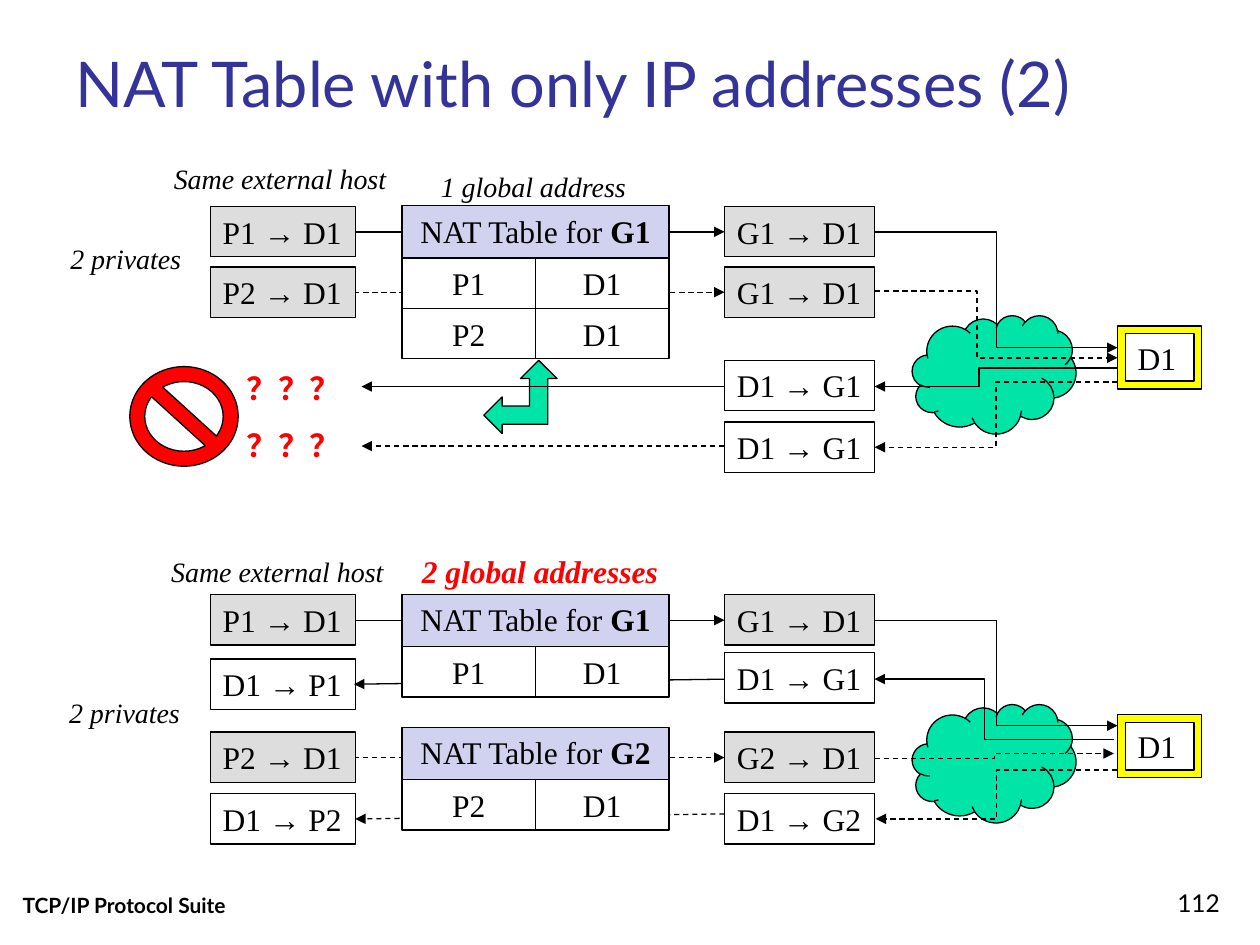
import dataclasses
import typing

import lxml.etree
import pptx
import pptx.dml.color
import pptx.enum.dml
import pptx.enum.shapes
import pptx.enum.text
import pptx.oxml.ns
import pptx.util

Pt = pptx.util.Pt
Shape = pptx.enum.shapes.MSO_SHAPE
Link = pptx.enum.shapes.MSO_CONNECTOR
Align = pptx.enum.text.PP_ALIGN
Anchor = pptx.enum.text.MSO_ANCHOR
Fit = pptx.enum.text.MSO_AUTO_SIZE
qn = pptx.oxml.ns.qn


@dataclasses.dataclass(frozen=True)
class Theme:
    sans: str = "Lato"
    serif: str = "Times New Roman"
    black: str = "000000"
    white: str = "FFFFFF"
    blue: str = "333399"
    gray: str = "DDDDDD"
    lilac: str = "D1D1F0"
    green: str = "00E4A8"
    yellow: str = "FFFF00"
    red: str = "FF0000"
    title: float = 36
    body: float = 18
    note: float = 16
    page: float = 14
    foot: float = 12
    line: float = 0.75


THEME = Theme()


class Area(typing.NamedTuple):
    left: float
    top: float
    width: float
    height: float


class Style(typing.NamedTuple):
    size: float = THEME.body
    color: str = THEME.black
    bold: bool = False
    slant: bool = False
    face: str = THEME.serif


class Note(typing.NamedTuple):
    text: str
    area: Area
    style: Style
    align: Align = Align.LEFT
    anchor: Anchor = Anchor.TOP
    wrap: bool = False


class Wire(typing.NamedTuple):
    start: tuple[float, float]
    end: tuple[float, float]
    dash: bool = False
    bend: float | None = None  # share of the width where an elbow turns


class Packet(typing.NamedTuple):
    text: str
    left: float
    top: float
    sent: bool = True


class Table(typing.NamedTuple):
    host: str
    top: float
    rows: tuple[str, ...]


NEAR, FAR = 120.2, 414  # left edges of the two packet columns
WIDTH = {NEAR: 82.8, FAR: 85.8}
ROW, HEAD = 28.8, 30
TABLE_LEFT, CELL = 229.7, 76.3
SCENES = (0, 222.2)  # top offsets of the two cases

SLANT = Style(THEME.note, slant=True)
ALERT = Style(color=THEME.red, bold=True)

NOTES = (
    Note("TCP/IP Protocol Suite", Area(5.8, 492, 228, 36),
         Style(THEME.foot, bold=True, face=THEME.sans), anchor=Anchor.BOTTOM, wrap=True),
    Note("112", Area(554.4, 492, 149.8, 36), Style(THEME.page, face=THEME.sans),
         Align.RIGHT, Anchor.BOTTOM, True),
    Note("Same external host", Area(92.2, 88.6, 137.5, 26.6), SLANT),
    Note("1 global address", Area(244.8, 93.6, 121.7, 26.6), SLANT),
    Note("2 privates", Area(33.1, 134.6, 79.2, 26.6), SLANT),
    Note("？？？", Area(133.9, 207.4, 69.1, ROW), ALERT),
    Note("？？？", Area(133.9, 239.8, 69.1, ROW), ALERT),
    Note("Same external host", Area(90.7, 313.2, 137.5, 26.6), SLANT),
    Note("2 global addresses", Area(234, 311.8, 150.5, ROW), ALERT._replace(slant=True)),
    Note("2 privates", Area(32.4, 393.8, 79.2, 26.6), SLANT),
)

WIRES = (
    Wire((203, 132.5), (FAR, 132.5)),
    Wire((500.2, 132.5), (638.6, 198.7), bend=0.5),
    Wire((202.5, 167), (FAR, 167), True),
    Wire((500.2, 166.3), (638.6, 204.5), True, 0.42),
    Wire((638.6, 210.4), (499.8, 220.9), bend=0.57),
    Wire((638.6, 218.2), (499.8, 255.6), True, 0.5),
    Wire((FAR, 220.9), (206.6, 220.9)),
    Wire((FAR, 254.9), (206.6, 254.9), True),
    Wire((203, 354.4), (FAR, 354.4)),
    Wire((500.2, 354.4), (638.6, 414.7), bend=0.5),
    Wire((FAR, 388.1), (202.3, 391)),
    Wire((636.5, 422.8), (499.8, 388.1), bend=0.54),
    Wire((202.3, 432.9), (FAR, 432.9), True),
    Wire((499.8, 433.4), (636.5, 430.6), True, 0.5),
    Wire((FAR, 465.1), (203, 468), True),
    Wire((638.6, 440), (500.4, 468), True, 0.5),
)

PACKETS = (
    Packet("P1 → D1", NEAR, 118), Packet("G1 → D1", FAR, 118),
    Packet("P2 → D1", NEAR, 152.6), Packet("G1 → D1", FAR, 152.6),
    Packet("D1 → G1", FAR, 205.9, False), Packet("D1 → G1", FAR, 241.2, False),
    Packet("P1 → D1", NEAR, 339.8), Packet("G1 → D1", FAR, 339.8),
    Packet("D1 → P1", NEAR, 376.6, False), Packet("D1 → G1", FAR, 373, False),
    Packet("P2 → D1", NEAR, 418.3), Packet("G2 → D1", FAR, 418.3),
    Packet("D1 → P2", NEAR, 453.6, False), Packet("D1 → G2", FAR, 453.6, False),
)

TABLES = (
    Table("G1", 117.4, ("P1", "P2")),
    Table("G1", 339.6, ("P1",)),
    Table("G2", 415.6, ("P2",)),
)


def rgb(color: str) -> pptx.dml.color.RGBColor:
    return pptx.dml.color.RGBColor.from_string(color)


def write(shape, text: str, style: Style = Style(), align: Align = Align.LEFT,
          anchor: Anchor = Anchor.TOP, wrap: bool = True, strong: str = "") -> None:
    """Fill a shape with one line of text, ending in an optional bold part."""
    frame = shape.text_frame
    frame.text = text
    frame.word_wrap = wrap
    frame.vertical_anchor = anchor
    line = frame.paragraphs[0]
    line.alignment = align
    if strong:
        line.add_run().text = strong
    for index, run in enumerate(line.runs):
        font = run.font
        font.name, font.size = style.face, Pt(style.size)
        font.bold, font.italic = style.bold or index > 0, style.slant
        font.color.rgb = rgb(style.color)


def draw_shape(slide, kind: Shape, area: Area, fill: str | None):
    shape = slide.shapes.add_shape(kind, *map(Pt, area))
    shape.shadow.inherit = False
    if fill:
        shape.fill.solid()
        shape.fill.fore_color.rgb = rgb(fill)
    else:
        shape.fill.background()
    shape.line.color.rgb = rgb(THEME.black)
    shape.line.width = Pt(THEME.line)
    return shape


def draw_note(slide, note: Note) -> None:
    box = slide.shapes.add_textbox(*map(Pt, note.area))
    write(box, note.text, note.style, note.align, note.anchor, note.wrap)
    if not note.wrap:
        box.text_frame.auto_size = Fit.SHAPE_TO_FIT_TEXT


def draw_wire(slide, wire: Wire) -> None:
    kind = Link.STRAIGHT if wire.bend is None else Link.ELBOW
    link = slide.shapes.add_connector(kind, *map(Pt, wire.start + wire.end))
    link.line.color.rgb = rgb(THEME.black)
    link.line.width = Pt(THEME.line)
    if wire.dash:
        link.line.dash_style = pptx.enum.dml.MSO_LINE.DASH
    props = link._element.spPr
    lxml.etree.SubElement(props.find(qn("a:ln")), qn("a:tailEnd"), type="triangle")
    lxml.etree.SubElement(props, qn("a:effectLst"))
    if wire.bend is not None:
        guides = props.find(qn("a:prstGeom")).get_or_add_avLst()
        lxml.etree.SubElement(guides, qn("a:gd"), name="adj1",
                              fmla=f"val {round(wire.bend * 100000)}")


def draw_packet(slide, packet: Packet) -> None:
    area = Area(packet.left, packet.top, WIDTH[packet.left], ROW)
    box = draw_shape(slide, Shape.RECTANGLE, area, THEME.gray if packet.sent else None)
    write(box, packet.text, wrap=False)


def draw_table(slide, table: Table) -> None:
    """Stack a wide heading box over rows of private and external host."""
    for row, host in enumerate(table.rows):
        for col, text in enumerate((host, "D1")):
            area = Area(TABLE_LEFT + col * CELL, table.top + HEAD + row * ROW, CELL, ROW)
            write(draw_shape(slide, Shape.RECTANGLE, area, THEME.white), text,
                  align=Align.CENTER)
    head = draw_shape(slide, Shape.RECTANGLE,
                      Area(TABLE_LEFT, table.top, 2 * CELL, HEAD), THEME.lilac)
    write(head, "NAT Table for ", align=Align.CENTER, strong=table.host)


def main() -> None:
    deck = pptx.Presentation()
    deck.slide_width, deck.slide_height = Pt(720), Pt(540)
    slide = deck.slides.add_slide(deck.slide_layouts[5])
    title = slide.shapes.title
    title.left, title.top, title.width, title.height = map(Pt, (36, 21.6, 648, 50.4))
    write(title, "NAT Table with only IP addresses (2)",
          Style(THEME.title, THEME.blue, face=THEME.sans), anchor=Anchor.MIDDLE)

    for top in SCENES:
        draw_shape(slide, Shape.CLOUD, Area(521.3, 180.2 + top, 93.6, 67.7), THEME.green)
        host = draw_shape(slide, Shape.FRAME, Area(638.6, 186.3 + top, 48.2, 36), THEME.yellow)
        write(host, "D1", anchor=Anchor.MIDDLE)
    draw_shape(slide, Shape.LEFT_UP_ARROW, Area(276.5, 205.9, 41.8, 41.8), THEME.green)
    stop = draw_shape(slide, Shape.NO_SYMBOL, Area(74.2, 209.5, 61.9, 56.9), THEME.red)
    stop.adjustments[0] = 0.15

    for draw, items in ((draw_wire, WIRES), (draw_packet, PACKETS),
                        (draw_table, TABLES), (draw_note, NOTES)):
        for item in items:
            draw(slide, item)
    deck.save("out.pptx")


if __name__ == "__main__":
    main()
